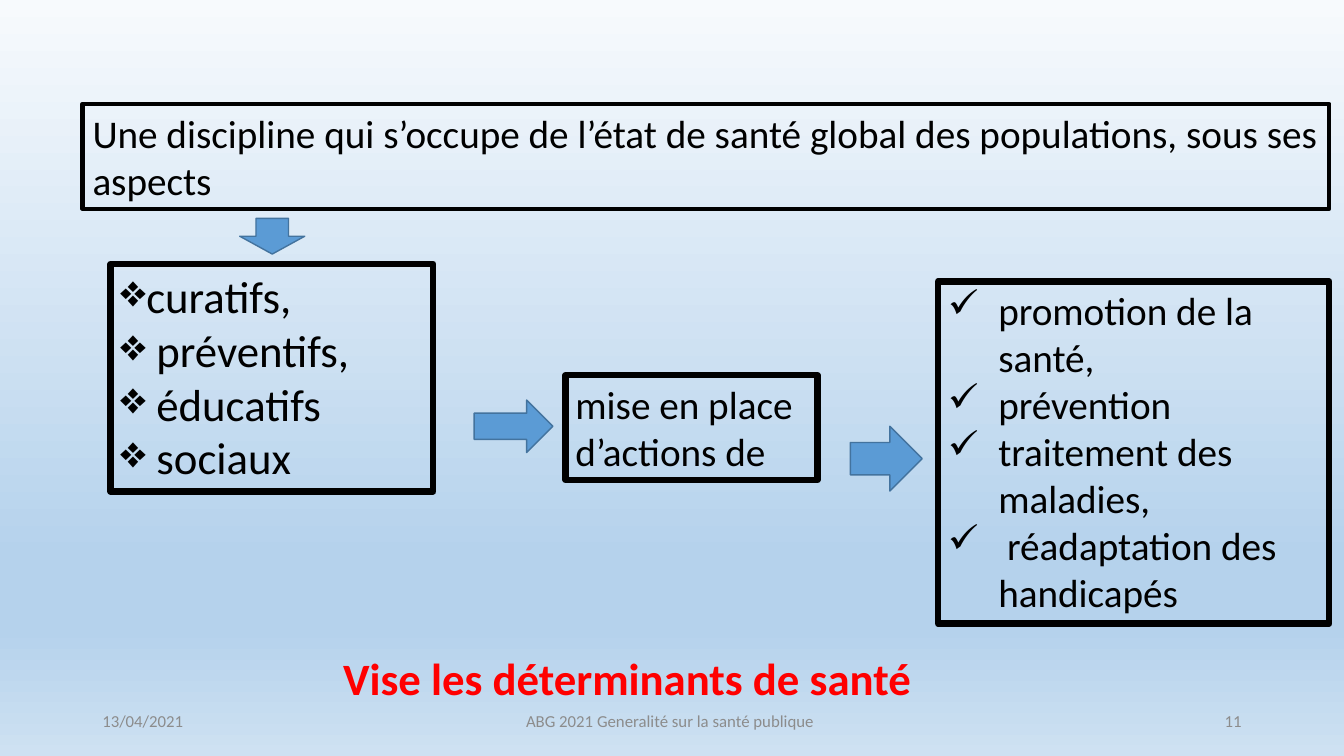
from lxml.etree import SubElement
from pptx import Presentation
from pptx.dml.color import RGBColor
from pptx.enum.shapes import MSO_SHAPE
from pptx.enum.text import MSO_ANCHOR, PP_ALIGN
from pptx.oxml.ns import qn
from pptx.util import Pt

BLACK, GREY, RED = "000000", "8C8C8C", "FF0000"
ARROW_FILL, ARROW_LINE = "5B9BD5", "43739E"
BACKGROUND = [(0, "F7FAFD"), (74, "B5D2EC"), (83, "B5D2EC"), (100, "CEE1F2")]

FOOTERS = [
    ((66, 500.5, 216, 28.75), "13/04/2021", PP_ALIGN.LEFT),
    ((318, 500.5, 324, 28.75), "ABG 2021 Generalité sur la santé publique ", PP_ALIGN.CENTER),
    ((678, 500.5, 216, 28.75), "11", PP_ALIGN.RIGHT),
]
BOXES = [
    dict(at=(79, 188.5, 230.5, 162.5), size=32, line=4.5, bullet="❖",
         lines=["curatifs,", " préventifs,", " éducatifs", " sociaux"]),
    dict(at=(404, 268, 180, 75), size=28, line=4.5,
         lines=["mise en place d’actions de"]),
    dict(at=(670, 201, 279.5, 244.5), size=28, line=4.5, bullet="✓", indent=36,
         lines=["promotion de la santé,", "prévention", "traitement des maladies,",
                " réadaptation des handicapés"]),
    dict(at=(59, 74.25, 890.5, 75), size=28, line=3,
         lines=["Une discipline qui s’occupe de l’état de santé global des populations, "
                "sous ses aspects"]),
]
CONCLUSION = ((238, 461.5, 501, 46), "Vise les déterminants de santé")
ARROWS = [
    (MSO_SHAPE.RIGHT_ARROW, (338.75, 285.75, 56.25, 37.5)),
    (MSO_SHAPE.DOWN_ARROW, (171.25, 156, 46.5, 25.5)),
    (MSO_SHAPE.RIGHT_ARROW, (607.5, 304.5, 51.25, 46.25)),
]


def color(value):
    return RGBColor.from_string(value)


def paint_background(s):
    fill = s.background.fill
    fill.gradient()
    fill.gradient_angle = 270
    stops = next(s.element.iter(qn("a:gsLst")))
    for stop in list(stops):
        stops.remove(stop)
    for position, value in BACKGROUND:
        stop = SubElement(stops, qn("a:gs"), pos=str(position * 1000))
        SubElement(stop, qn("a:srgbClr"), val=value)


def add_text(s, at, lines, size, value=BLACK, bold=False, align=PP_ALIGN.LEFT,
             anchor=MSO_ANCHOR.TOP, bullet=None, indent=0):
    sp = s.shapes.add_textbox(*map(Pt, at))
    tf = sp.text_frame
    tf.word_wrap = True
    tf.vertical_anchor = anchor
    for i, line in enumerate(lines):
        p = tf.paragraphs[0] if i == 0 else tf.add_paragraph()
        p.alignment = align
        if bullet:
            pPr = p._p.get_or_add_pPr()
            pPr.set("marL", str(Pt(indent)))
            pPr.set("indent", str(-Pt(indent)))
            SubElement(pPr, qn("a:buChar"), char=bullet)
        r = p.add_run()
        r.text = line
        for name, setting in dict(name="Calibri", size=Pt(size), bold=bold).items():
            setattr(r.font, name, setting)
        r.font.color.rgb = color(value)
    return sp


def outline(sp, value, width):
    sp.line.color.rgb = color(value)
    sp.line.width = Pt(width)


def add_arrow(s, kind, at):
    sp = s.shapes.add_shape(kind, *map(Pt, at))
    sp.shadow.inherit = False
    sp.fill.solid()
    sp.fill.fore_color.rgb = color(ARROW_FILL)
    outline(sp, ARROW_LINE, 1)


def main():
    prs = Presentation()
    prs.slide_width, prs.slide_height = Pt(960), Pt(540)
    s = prs.slides.add_slide(prs.slide_layouts[6])
    paint_background(s)
    for at, text, align in FOOTERS:
        add_text(s, at, [text], 12, GREY, align=align, anchor=MSO_ANCHOR.MIDDLE)
    for box in BOXES:
        sp = add_text(s, box["at"], box["lines"], box["size"],
                      bullet=box.get("bullet"), indent=box.get("indent", 0))
        outline(sp, BLACK, box["line"])
    at, text = CONCLUSION
    add_text(s, at, [text], 32, RED, bold=True)
    for kind, at in ARROWS:
        add_arrow(s, kind, at)
    prs.save("out.pptx")


if __name__ == "__main__":
    main()
